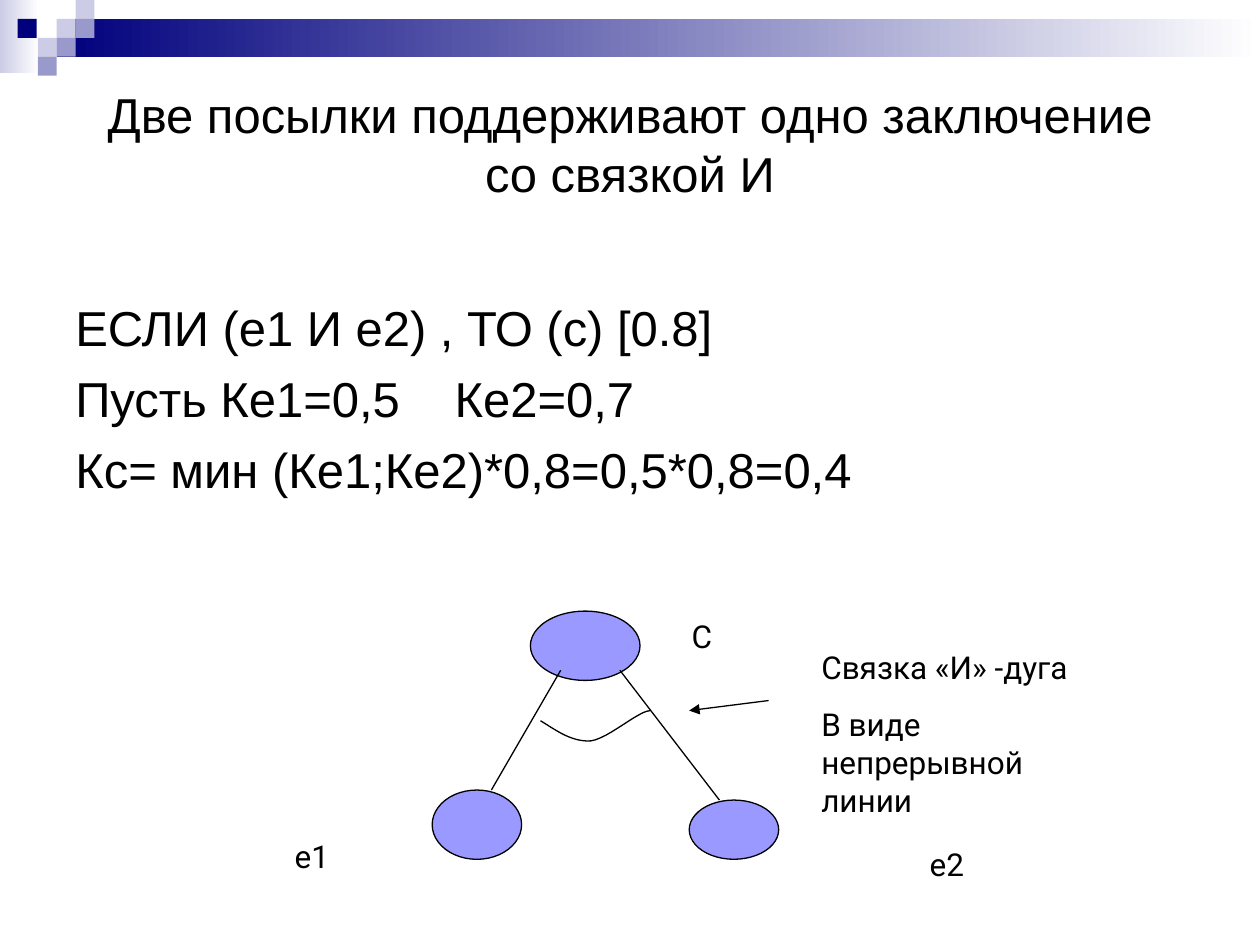
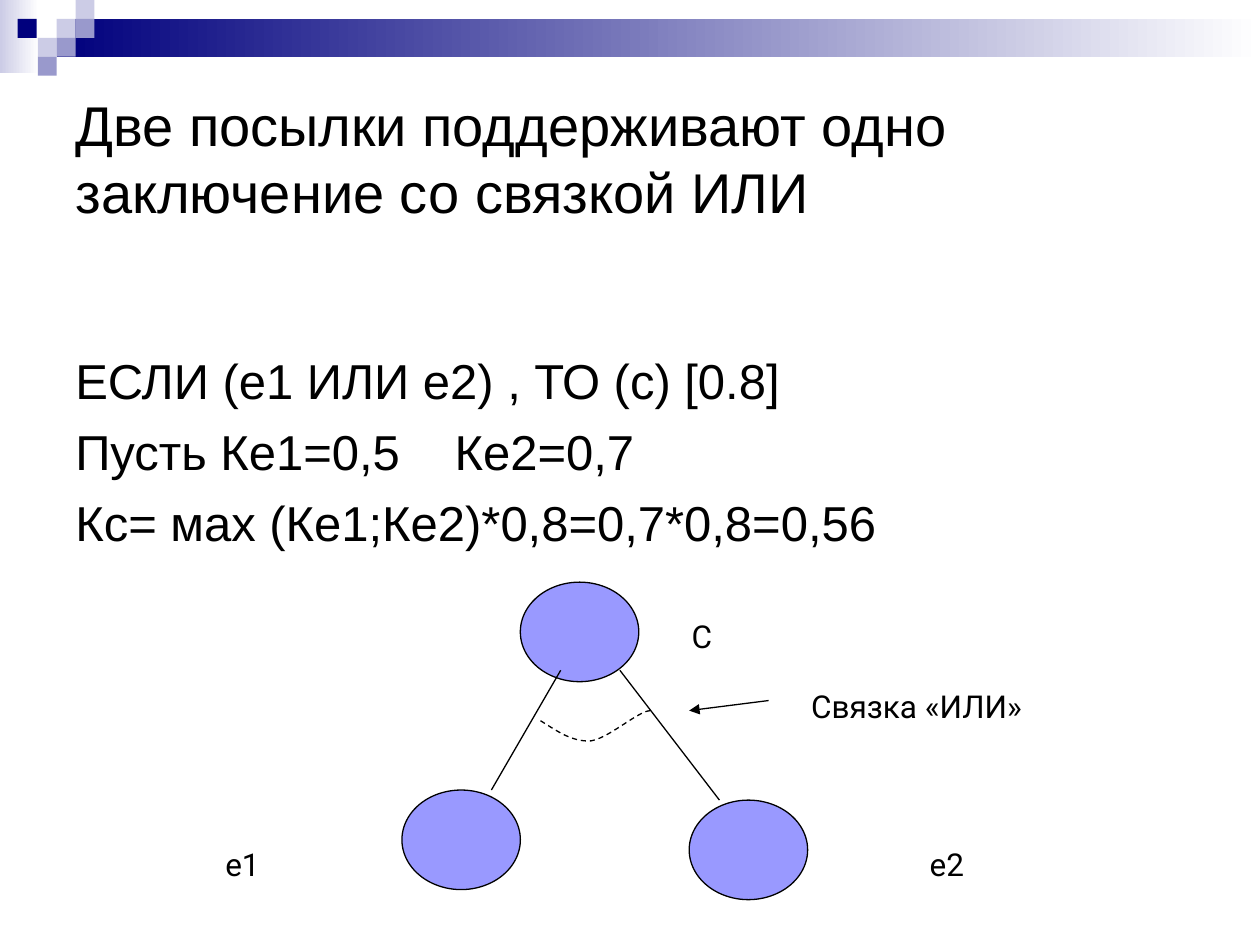
from pptx import Presentation, util as u
from pptx.dml import color
from pptx.enum import dml, shapes, text
from pptx.oxml import ns, xmlchemy as xml

PX = 9144
HUES = {"ink": "000000", "navy": "00007D", "mid": "9999CC",
        "pale": "CCCCE6", "white": "FFFFFF", "node": "9999FF"}
TILE = 15
TILES = [(45, 15, "pale"), (60, 0, "pale"), (60, 15, "mid"), (30, 30, "pale"),
         (14, 15, "navy"), (45, 30, "mid"), (30, 45, "mid")]
EDGES = [((492, 532), (571, 635)), ((445, 532), (390, 627))]
CURVES = [[(429, 572), (442, 580), (454, 589), (469, 588)],
          [(469, 588), (483, 586), (507, 564), (516, 564)]]
STEPS = 12
SLIDES = [
    {"title": "Две посылки поддерживают одно заключение со связкой И",
     "size": 28, "align": text.PP_ALIGN.CENTER, "head": 128, "top": 231,
     "lines": ["ЕСЛИ (е1 И е2) , ТО (с) [0.8]", "Пусть Ке1=0,5\tКе2=0,7",
               "Кс= мин (Ке1;Ке2)*0,8=0,5*0,8=0,4"],
     "nodes": [(421, 485, 87, 55), (343, 627, 71, 55), (547, 635, 71, 47)],
     "left": (224, 659), "dash": False,
     "note": (642, 509, 244, 146),
     "words": ["Связка «И» -дуга", "В виде непрерывной линии"]},
    {"title": "Две посылки поддерживают одно заключение со связкой ИЛИ",
     "size": 32, "align": text.PP_ALIGN.LEFT, "head": 150, "top": 273,
     "lines": ["ЕСЛИ (е1 ИЛИ е2) , ТО (с) [0.8]", "Пусть Ке1=0,5\tКе2=0,7",
               "Кс= мах (Ке1;Ке2)*0,8=0,7*0,8=0,56"],
     "nodes": [(413, 462, 94, 79), (319, 627, 94, 79), (547, 635, 94, 79)],
     "left": (169, 666), "dash": True,
     "note": (634, 540, 244, 40), "words": ["Связка «ИЛИ»"]},
]


def emu(*vals):
    """Turn px lengths into EMU."""
    return [round(val * PX) for val in vals]


def hue(name):
    """Return a named colour."""
    return color.RGBColor.from_string(HUES[name])


def ink(line, dash=False):
    """Give a line its thin black stroke."""
    line.color.rgb = hue("ink")
    line.width = u.Pt(0.75)
    if dash:
        line.dash_style = dml.MSO_LINE.DASH


def rect(slide, box, *names):
    """Add a rectangle with a solid fill or a two-colour gradient."""
    item = slide.shapes.add_shape(shapes.MSO_SHAPE.RECTANGLE, *emu(*box))
    item.shadow.inherit = False
    item.line.fill.background()
    if len(names) == 1:
        item.fill.solid()
        item.fill.fore_color.rgb = hue(names[0])
        return
    item.fill.gradient()
    item.fill.gradient_angle = 0
    for stop, name in zip(item.fill.gradient_stops, names):
        stop.color.rgb = hue(name)


def band(slide):
    """Draw the top band and its tiles."""
    rect(slide, (0, 0, 31, 58), "pale", "white")
    rect(slide, (45, 15, 955, 30), "navy", "white")
    for left, top, name in TILES:
        rect(slide, (left, top, TILE, TILE), name)


def write(slide, box, lines, size, face="Arial", gap=0, align=None,
          anchor=text.MSO_ANCHOR.TOP, tab=None):
    """Add a wrapped text box with one paragraph per line."""
    frame = slide.shapes.add_textbox(*emu(*box)).text_frame
    frame.word_wrap = True
    frame.vertical_anchor = anchor
    for num, line in enumerate(lines):
        para = frame.add_paragraph() if num else frame.paragraphs[0]
        para.text = line
        para.alignment = align
        if num:
            para.space_before = u.Pt(gap)
        if tab and "\t" in line:
            stops = xml.OxmlElement("a:tabLst")
            stop = xml.OxmlElement("a:tab")
            stop.set("pos", str(tab * PX))
            stop.set("algn", "l")
            stops.append(stop)
            para._p.get_or_add_pPr().append(stops)
        para.font.size = u.Pt(size)
        para.font.name = face
        para.font.color.rgb = hue("ink")


def label(slide, box, *lines):
    """Add a diagram label."""
    write(slide, box, lines, 18, "Roboto", gap=11.2)


def node(slide, box):
    """Add an oval graph node."""
    item = slide.shapes.add_shape(shapes.MSO_SHAPE.OVAL, *emu(*box))
    item.shadow.inherit = False
    item.fill.solid()
    item.fill.fore_color.rgb = hue("node")
    ink(item.line)


def edge(slide, start, end, arrow=False):
    """Add a straight line, with an arrowhead at its end if asked."""
    item = slide.shapes.add_connector(shapes.MSO_CONNECTOR.STRAIGHT,
                                      *emu(*start, *end))
    ink(item.line)
    props = item._element.spPr
    if arrow:
        tip = xml.OxmlElement("a:tailEnd")
        tip.set("type", "triangle")
        props.find(ns.qn("a:ln")).append(tip)
    props.append(xml.OxmlElement("a:effectLst"))


def point(curve, part):
    """Return the point of a cubic curve at a part of its run."""
    rest = 1 - part
    mix = (rest ** 3, 3 * rest ** 2 * part, 3 * rest * part ** 2, part ** 3)
    return emu(*(sum(m * v for m, v in zip(mix, axis)) for axis in zip(*curve)))


def arc(slide, dash):
    """Draw the arc that joins the two edges."""
    dots = [point(curve, step / STEPS)
            for curve in CURVES for step in range(1, STEPS + 1)]
    build = slide.shapes.build_freeform(*emu(*CURVES[0][0]))
    build.add_line_segments(dots, close=False)
    item = build.convert_to_shape()
    item.shadow.inherit = False
    item.fill.background()
    ink(item.line, dash)


def graph(slide, data):
    """Draw the graph of two premises and one conclusion."""
    for box in data["nodes"]:
        node(slide, box)
    for start, end in EDGES:
        edge(slide, start, end)
    arc(slide, data["dash"])
    label(slide, (539, 485, 87, 40), "С")
    label(slide, (*data["left"], 94, 40), "е1")
    label(slide, (728, 666, 55, 40), "е2")
    label(slide, data["note"], *data["words"])
    edge(slide, (610, 556), (547, 564), arrow=True)


def main():
    """Build and save the slides."""
    deck = Presentation()
    deck.slide_width, deck.slide_height = emu(1000, 750)
    for data in SLIDES:
        slide = deck.slides.add_slide(deck.slide_layouts[6])
        band(slide)
        write(slide, (50, 50, 900, data["head"]), [data["title"]], data["size"],
              align=data["align"], anchor=text.MSO_ANCHOR.MIDDLE)
        write(slide, (50, data["top"], 900, 722 - data["top"]), data["lines"],
              28, gap=7, tab=301)
        graph(slide, data)
    deck.save("out.pptx")


if __name__ == "__main__":
    main()
